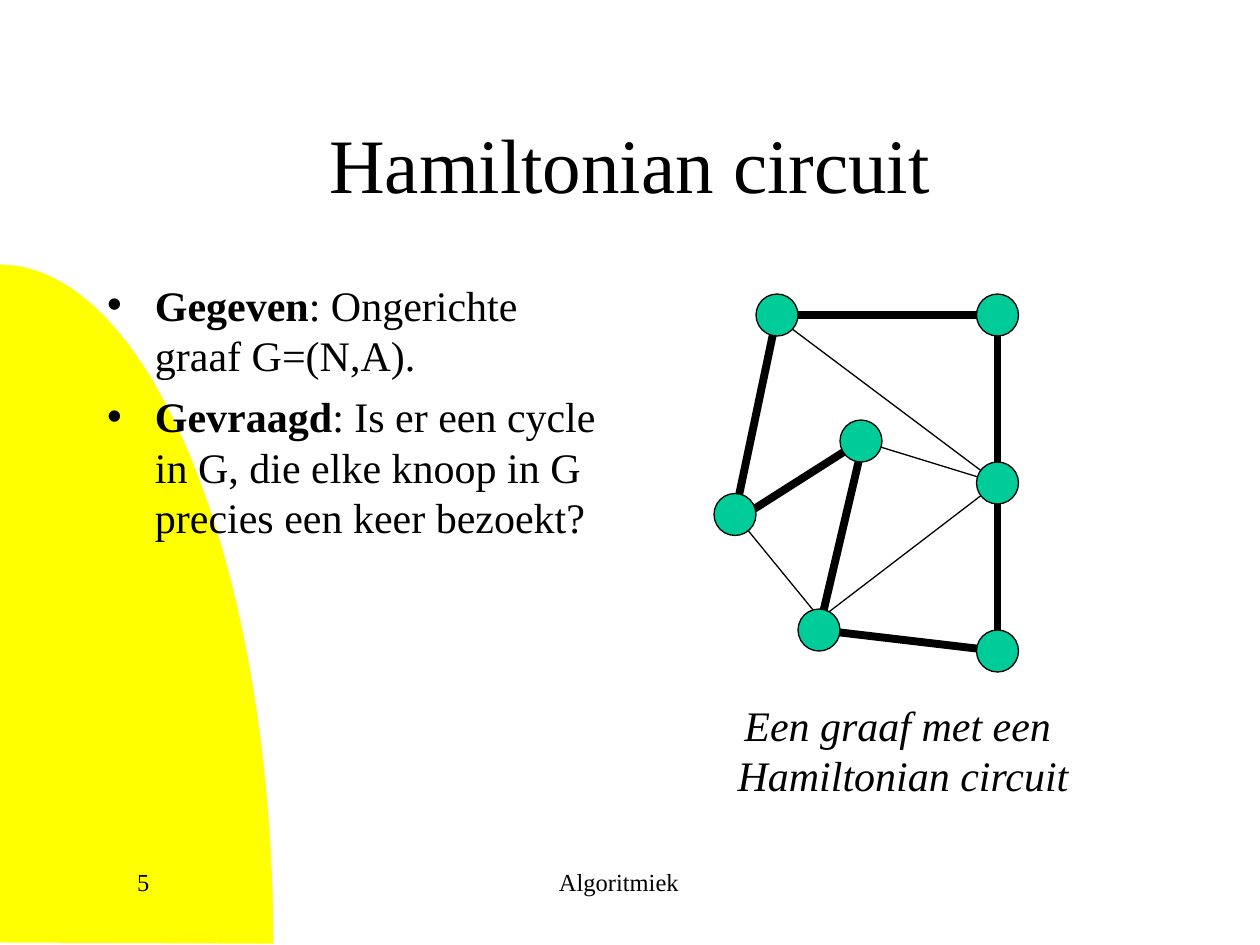
from math import cos, pi, sin

from lxml import etree
from pptx import Presentation
from pptx.dml.color import RGBColor
from pptx.enum.shapes import MSO_CONNECTOR, MSO_SHAPE
from pptx.enum.text import MSO_ANCHOR, MSO_AUTO_SIZE, PP_ALIGN
from pptx.oxml.ns import qn
from pptx.util import Inches, Pt

LEFT, CENTER = PP_ALIGN.LEFT, PP_ALIGN.CENTER
TOP, MIDDLE = MSO_ANCHOR.TOP, MSO_ANCHOR.MIDDLE
NO_AUTOFIT = MSO_AUTO_SIZE.NONE
STRAIGHT, OVAL = MSO_CONNECTOR.STRAIGHT, MSO_SHAPE.OVAL
COLORS = {
    name: RGBColor.from_string(code)
    for name, code in {"ink": "000000", "node": "00CC99", "arc": "FFFF00"}.items()
}
CELL = Inches(1 / 12)  # the slide is 120 columns by 90 rows


def set_type(paragraph, size, align=LEFT, margin=0, hanging=0):
    paragraph.font.name = "Times New Roman"
    paragraph.font.size = Pt(size)
    paragraph.font.color.rgb = COLORS["ink"]
    paragraph.alignment = align
    properties = paragraph._p.get_or_add_pPr()
    properties.set("marL", str(Inches(margin)))
    properties.set("indent", str(-Inches(hanging)))


def place(box, column, row, columns, rows):
    box.left, box.top = int(column * CELL), int(row * CELL)
    box.width, box.height = int(columns * CELL), int(rows * CELL)


prs = Presentation()
prs.slide_width, prs.slide_height = 120 * CELL, 90 * CELL
slide = prs.slides.add_slide(prs.slide_layouts[1])
shapes = slide.shapes
title, body = shapes.title, slide.placeholders[1]

# Yellow quarter ellipse in the lower left corner
radius_x, radius_y, base = Inches(2.17), Inches(5.39), Inches(7.49)
steps = 60
rim = [
    (radius_x * sin(i * pi / 2 / steps), base - radius_y * cos(i * pi / 2 / steps))
    for i in range(steps + 1)
]
builder = shapes.build_freeform(*rim[0])
builder.add_line_segments(rim[1:] + [(0, Inches(7.48))], close=True)
arc = builder.convert_to_shape()
arc.shadow.inherit = False
arc.fill.solid()
arc.fill.fore_color.rgb = COLORS["arc"]
arc.line.fill.background()
shapes._spTree.insert(2, arc._element)  # behind the text

# Title
place(title, 9, 8, 102, 15)
title.text_frame.text = "Hamiltonian circuit"
title.text_frame.vertical_anchor = MIDDLE
title.text_frame.auto_size = NO_AUTOFIT
set_type(title.text_frame.paragraphs[0], 44, CENTER)

# Problem statement
statement = [
    ("Gegeven", ": Ongerichte graaf G=(N,A)."),
    ("Gevraagd", ": Is er een cycle in G, die elke knoop in G precies een keer bezoekt?"),
]
place(body, 9, 26, 50, 54)
body.text_frame.vertical_anchor = TOP
body.text_frame.auto_size = NO_AUTOFIT
for i, (term, explanation) in enumerate(statement):
    item = body.text_frame.paragraphs[0] if i == 0 else body.text_frame.add_paragraph()
    term_run = item.add_run()
    term_run.text = term
    term_run.font.bold = True
    item.add_run().text = explanation
    set_type(item, 24, margin=0.38, hanging=0.38)
    item.space_before = Pt(6)

# Graph edges, in columns and rows: thick ones form the circuit
circuit = [
    (74, 30, 70, 49), (71, 49, 82, 42), (82, 43, 78, 60), (78, 60, 95, 62),
    (95, 45, 95, 63), (95, 31, 95, 46), (73, 30, 95, 30),
]
other_edges = [(75, 31, 95, 46), (95, 46, 78, 59), (82, 42, 95, 46), (70, 49, 79, 60)]
for edges, weight in ((other_edges, 0.75), (circuit, 4.5)):
    for ends in edges:
        edge = shapes.add_connector(STRAIGHT, *(end * CELL for end in ends))
        edge.line.color.rgb = COLORS["ink"]
        edge.line.width = Pt(weight)
        etree.SubElement(edge._element.spPr, qn("a:effectLst"))

# Graph nodes, by centre
centres = [(74, 30), (95, 30), (95, 46), (95, 62), (78, 60), (70, 49), (82, 42)]
for column, row in centres:
    node = shapes.add_shape(OVAL, (column - 2) * CELL, (row - 2) * CELL, 4 * CELL, 4 * CELL)
    node.shadow.inherit = False
    node.fill.solid()
    node.fill.fore_color.rgb = COLORS["node"]
    node.line.color.rgb = COLORS["ink"]
    node.line.width = Pt(0.75)

# Caption, footer and slide number
labels = [
    ("Een graaf met een \vHamiltonian circuit", (69, 66, 34, 10.8), 24, CENTER, 0, True),
    ("Algoritmiek", (35, 82, 45, 6), 14, CENTER, 0.24, False),
    ("5", (9, 82, 25, 6), 14, LEFT, 0.24, False),
]
for text, area, size, align, margin, italic in labels:
    label = shapes.add_textbox(0, 0, CELL, CELL)
    place(label, *area)
    label.text_frame.word_wrap = True
    label.text_frame.text = text
    line = label.text_frame.paragraphs[0]
    set_type(line, size, align, margin)
    line.font.italic = italic

prs.save("out.pptx")
